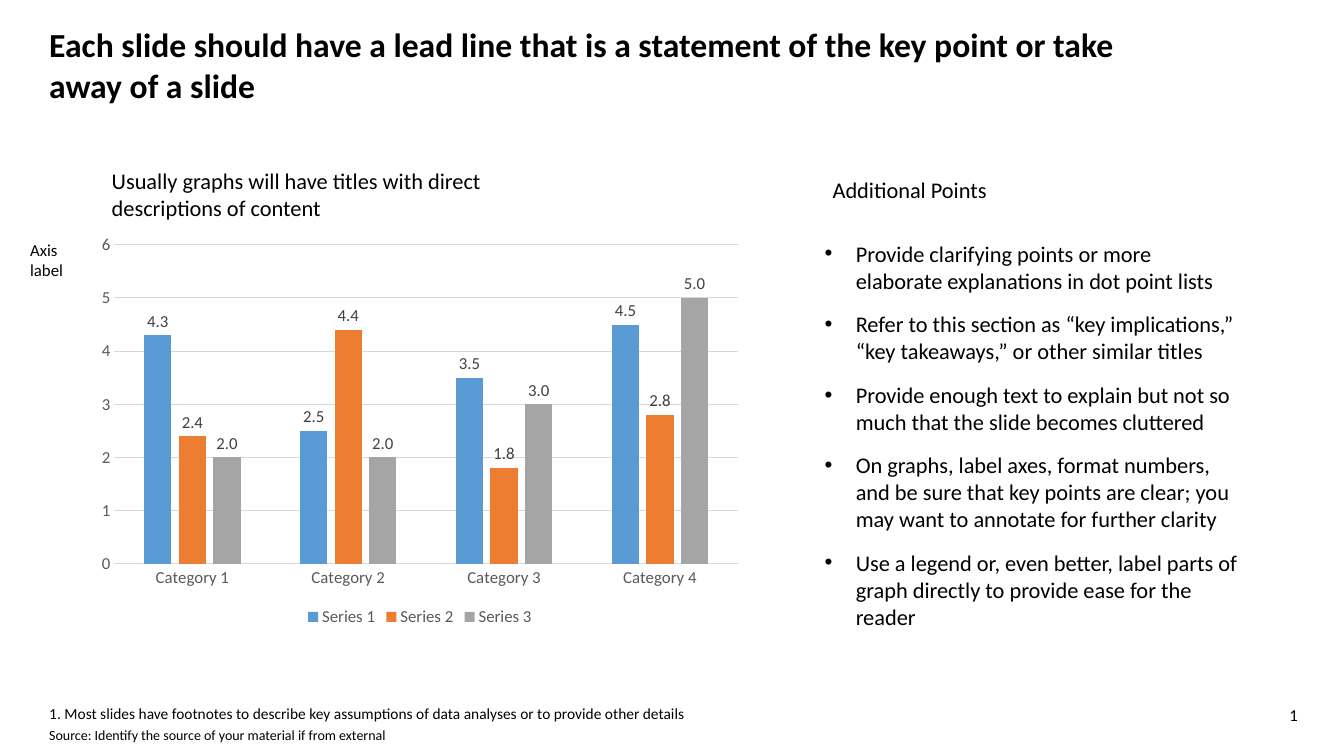
from pptx import Presentation
from pptx.chart.data import CategoryChartData
from pptx.dml.color import RGBColor
from pptx.enum.chart import XL_CHART_TYPE, XL_LABEL_POSITION, XL_LEGEND_POSITION, XL_TICK_MARK
from pptx.enum.text import MSO_AUTO_SIZE
from pptx.oxml.ns import qn
from pptx.util import Inches, Pt
from lxml import etree

COLUMNS = XL_CHART_TYPE.COLUMN_CLUSTERED
BOTTOM = XL_LEGEND_POSITION.BOTTOM
ABOVE = XL_LABEL_POSITION.OUTSIDE_END
NO_TICK = XL_TICK_MARK.NONE
GROW = MSO_AUTO_SIZE.SHAPE_TO_FIT_TEXT
FACE = "Calibri"
BLACK, GREY, DARK, RULE = "000000", "595959", "404040", "D9D9D9"

LABELS = [
    ("Each slide should have a lead line that is a statement of the key point or take away of a slide",
     (0.39, 0.19, 11.4, 0.91), 24, True),
    ("1. Most slides have footnotes to describe key assumptions of data analyses or to provide other details",
     (0.39, 6.94, 7.24, 0.29), 11, False),
    ("Source: Identify the source of your material if from external", (0.39, 7.16, 8, 0.27), 10, False),
    ("Usually graphs will have titles with direct descriptions of content",
     (1.01, 1.61, 4.87, 0.64), 16, False),
    ("Axis label", (0.2, 2.33, 0.68, 0.5), 12, False),
    ("Additional Points", (8.16, 1.7, 4.87, 0.37), 16, False),
    ("1", (12.69, 6.94, 0.35, 0.3), 12, False),
]
POINTS = [
    "Provide clarifying points or more elaborate explanations in dot point lists",
    "Refer to this section as “key implications,” “key takeaways,” or other similar titles",
    "Provide enough text to explain but not so much that the slide becomes cluttered",
    "On graphs, label axes, format numbers, and be sure that key points are clear; "
    "you may want to annotate for further clarity",
    "Use a legend or, even better, label parts of graph directly to provide ease for the reader",
]
POINTS_AT = (8.08, 2.33, 4.34, 4.01)
CHART_AT = (0.88, 2.25, 6.57, 4.01)
CATS = ["Category 1", "Category 2", "Category 3", "Category 4"]
SERIES = [
    ("Series 1", (4.3, 2.5, 3.5, 4.5), "5B9BD5"),
    ("Series 2", (2.4, 4.4, 1.8, 2.8), "ED7D31"),
    ("Series 3", (2, 2, 3, 5), "A5A5A5"),
]


def tint(color, code):
    color.rgb = RGBColor.from_string(code)


def style(font, size, code=BLACK, bold=False):
    font.name, font.size, font.bold = FACE, Pt(size), bold
    tint(font.color, code)


def add_text(slide, spot, texts, size, bold=False, bullets=False):
    box = slide.shapes.add_textbox(*map(Inches, spot))
    frame = box.text_frame
    frame.word_wrap = True
    frame.auto_size = GROW
    for i, text in enumerate(texts):
        para = frame.add_paragraph() if i else frame.paragraphs[0]
        if bullets:
            props = para._p.get_or_add_pPr()
            props.set("marL", str(Inches(0.31)))
            props.set("indent", str(-Inches(0.31)))
            etree.SubElement(props, qn("a:buFont")).set("typeface", "Arial")
            etree.SubElement(props, qn("a:buChar")).set("char", "•")
            para.space_before = Pt(6 if i else 0)
            para.space_after = Pt(6)
        run = para.add_run()
        run.text = text
        style(run.font, size, bold=bold)


def add_graph(slide):
    data = CategoryChartData()
    data.categories = CATS
    for name, vals, _ in SERIES:
        data.add_series(name, vals)
    chart = slide.shapes.add_chart(COLUMNS, *map(Inches, CHART_AT), data).chart
    style(chart.font, 10)
    chart.has_title = False
    chart.has_legend = True
    chart.legend.position = BOTTOM
    chart.legend.include_in_layout = False
    style(chart.legend.font, 12, GREY)

    cat, val = chart.category_axis, chart.value_axis
    for axis in (cat, val):
        axis.major_tick_mark = axis.minor_tick_mark = NO_TICK
        style(axis.tick_labels.font, 12, GREY)
    val.minimum_scale, val.maximum_scale, val.major_unit = 0, 6, 1
    val.has_major_gridlines = True
    val.format.line.fill.background()
    for line in (cat.format.line, val.major_gridlines.format.line):
        tint(line.color, RULE)
        line.width = Pt(0.75)

    plot = chart.plots[0]
    plot.gap_width, plot.overlap = 219, -27
    plot.vary_by_categories = False
    for series, (_, _, code) in zip(plot.series, SERIES):
        series.format.fill.solid()
        tint(series.format.fill.fore_color, code)
        tags = series.data_labels
        tags.show_value = True
        tags.position = ABOVE
        tags.number_format = "#,##0.0"
        tags.number_format_is_linked = False
        style(tags.font, 12, DARK)


def main():
    """Build the slide with a column chart and its key points."""
    deck = Presentation()
    deck.slide_width, deck.slide_height = Inches(13.33), Inches(7.5)
    slide = deck.slides.add_slide(deck.slide_layouts[6])
    add_graph(slide)
    for text, spot, size, bold in LABELS:
        add_text(slide, spot, [text], size, bold)
    add_text(slide, POINTS_AT, POINTS, 16, bullets=True)
    deck.save("out.pptx")


if __name__ == "__main__":
    main()
